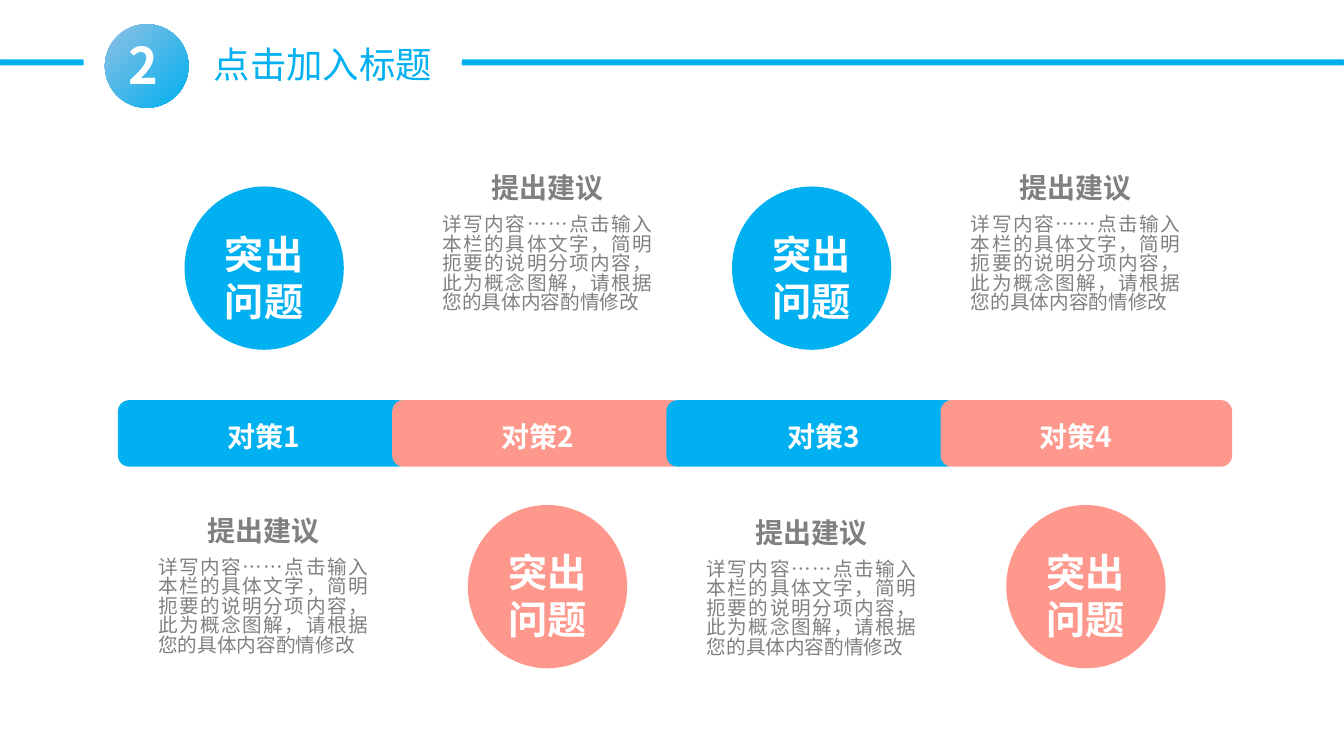
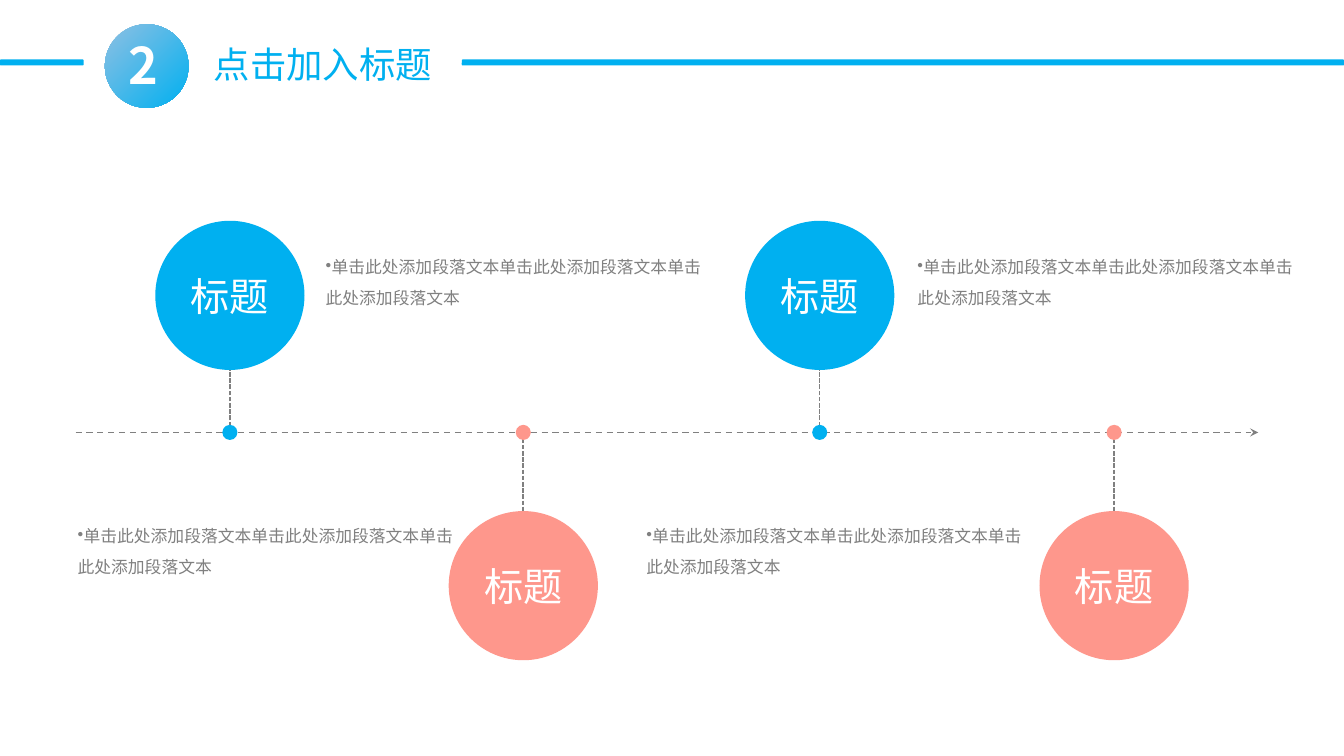
from pptx import Presentation
from pptx.dml.color import RGBColor
from pptx.enum.dml import MSO_LINE
from pptx.enum.shapes import MSO_CONNECTOR, MSO_SHAPE as SHAPE
from pptx.enum.text import MSO_ANCHOR as ANCHOR, PP_ALIGN as ALIGN
from pptx.oxml.ns import qn
from pptx.util import Inches, Pt
from lxml.etree import SubElement

BLUE = RGBColor(0x00, 0xB0, 0xF0)
PALE_BLUE = RGBColor(0x8F, 0xC0, 0xE3)
CORAL = RGBColor(0xFE, 0x97, 0x8C)
GRAY = RGBColor(0x80, 0x80, 0x80)
WHITE = RGBColor(0xFF, 0xFF, 0xFF)
FONT = "Noto Sans CJK SC"

ADVICE = "详写内容……点击输入本栏的具体文字，简明扼要的说明分项内容，此为概念图解，请根据您的具体内容酌情修改"
NOTE = "单击此处添加段落文本" * 2 + "单击此处添加段落文本"


def write(shape, text, size, color, bold=False, align=ALIGN.CENTER, insets=(0, 0, 0, 0), wrap=True):
    frame = shape.text_frame
    frame.word_wrap = wrap
    frame.margin_left, frame.margin_top, frame.margin_right, frame.margin_bottom = map(Inches, insets)
    para = frame.paragraphs[0]
    para.text = text
    para.alignment = align
    font = para.font
    font.name, font.size, font.bold = FONT, Pt(size), bold
    font.color.rgb = color
    SubElement(para._p.pPr.find(qn("a:defRPr")), qn("a:ea"), typeface=FONT)
    return para


def add_text(page, box, text, size, color, **style):
    shape = page.shapes.add_textbox(*map(Inches, box))
    shape.text_frame.vertical_anchor = ANCHOR.TOP
    return write(shape, text, size, color, **style)


def add_solid(page, kind, box, color):
    shape = page.shapes.add_shape(kind, *map(Inches, box))
    shape.shadow.inherit = False
    shape.fill.solid()
    shape.fill.fore_color.rgb = color
    shape.line.fill.background()
    return shape


def add_dashes(page, start, end, dash):
    line = page.shapes.add_connector(MSO_CONNECTOR.STRAIGHT, *map(Inches, start + end))
    line.line.color.rgb = GRAY
    line.line.width = Pt(1.1)
    line.line.dash_style = dash
    SubElement(line._element.spPr, qn("a:effectLst"))
    return line


def add_header(page, number, title):
    add_text(page, (2.02, 0.37, 2.39, 0.54), title, 26, BLUE, align=ALIGN.LEFT,
             insets=(0.1, 0.05, 0.1, 0.05), wrap=False)
    for left, width in ((0, 0.83), (4.58, 8.75)):
        rule = add_solid(page, SHAPE.ROUNDED_RECTANGLE, (left, 0.59, width, 0.06), BLUE)
        rule.adjustments[0] = 0.17
    badge = add_solid(page, SHAPE.OVAL, (1.04, 0.24, 0.83, 0.83), BLUE)
    badge.fill.gradient()
    badge.fill.gradient_angle = 315
    for stop, color in zip(badge.fill.gradient_stops, (PALE_BLUE, BLUE)):
        stop.color.rgb = color
    write(badge, number, 36, WHITE, bold=True, insets=(0, 0, 0.06, 0.03))


def add_measure(page, left, color, label, label_left, circle, advice):
    add_solid(page, SHAPE.ROUNDED_RECTANGLE, (left, 3.97, 2.89, 0.66), color)
    add_text(page, (label_left, 4.16, 1.78, 0.34), label, 20, WHITE, bold=True)

    problem = add_solid(page, SHAPE.OVAL, circle + (1.58, 1.62), color)
    write(problem, "突出问题", 28, WHITE, bold=True, insets=(0.14, 0.18, 0.14, 0))

    advice_left, advice_top = advice
    add_text(page, (advice_left + 0.15, advice_top - 0.45, 1.78, 0.34), "提出建议", 20, GRAY, bold=True)
    body = add_text(page, (advice_left, advice_top, 2.08, 0.98), ADVICE, 14, GRAY, align=ALIGN.JUSTIFY)
    body.line_spacing = Pt(14)


def build_measures(page):
    columns = (
        (1.73, (1.83, 1.85), (1.57, 5.54)),
        (4.44, (4.64, 5.01), (4.39, 2.14)),
        (7.28, (7.26, 1.85), (7.01, 5.56)),
        (9.78, (9.98, 5.01), (9.63, 2.14)),
    )
    for index, (label_left, circle, advice) in enumerate(columns):
        color = CORAL if index % 2 else BLUE
        add_measure(page, 1.17 + 2.72 * index, color, f"对策{index + 1}", label_left, circle, advice)


def add_milestone(page, center, axis, circle_top, color, note_left, note_top):
    size, dot = 1.48, 0.15
    add_dashes(page, (center, axis), (center, circle_top + size / 2), MSO_LINE.SQUARE_DOT)
    add_solid(page, SHAPE.OVAL, (center - dot / 2, axis - dot / 2, dot, dot), color)
    circle = add_solid(page, SHAPE.OVAL, (center - size / 2, circle_top, size, size), color)
    write(circle, "标题", 28, WHITE)

    para = add_text(page, (note_left, note_top, 3.94, 1.1), NOTE, 12, GRAY, align=ALIGN.LEFT,
                    insets=(0.07, 0.04, 0.07, 0.04))
    para.line_spacing = 1.5
    para.space_before = Pt(7.5)
    properties = para._p.pPr
    properties.set("marL", "0")
    properties.set("indent", "0")
    bullet = SubElement(properties, qn("a:buChar"), char="•")
    properties.find(qn("a:defRPr")).addprevious(bullet)


def build_timeline(page):
    axis = 4.29
    arrow = add_dashes(page, (0.75, axis), (12.48, axis), MSO_LINE.DASH)
    SubElement(arrow.line._get_or_add_ln(), qn("a:tailEnd"), type="stealth")
    for index, (center, note_left) in enumerate(((2.28, 3.16), (5.19, 0.7), (8.13, 9.03), (11.05, 6.34))):
        circle_top, note_top, color = (5.07, 5.08, CORAL) if index % 2 else (2.19, 2.41, BLUE)
        add_milestone(page, center, axis, circle_top, color, note_left, note_top)


def main():
    deck = Presentation()
    deck.slide_width, deck.slide_height = Inches(13.33), Inches(7.5)
    for build in (build_measures, build_timeline):
        page = deck.slides.add_slide(deck.slide_layouts[6])
        add_header(page, "2", "点击加入标题")
        build(page)
    deck.save("out.pptx")


if __name__ == "__main__":
    main()
